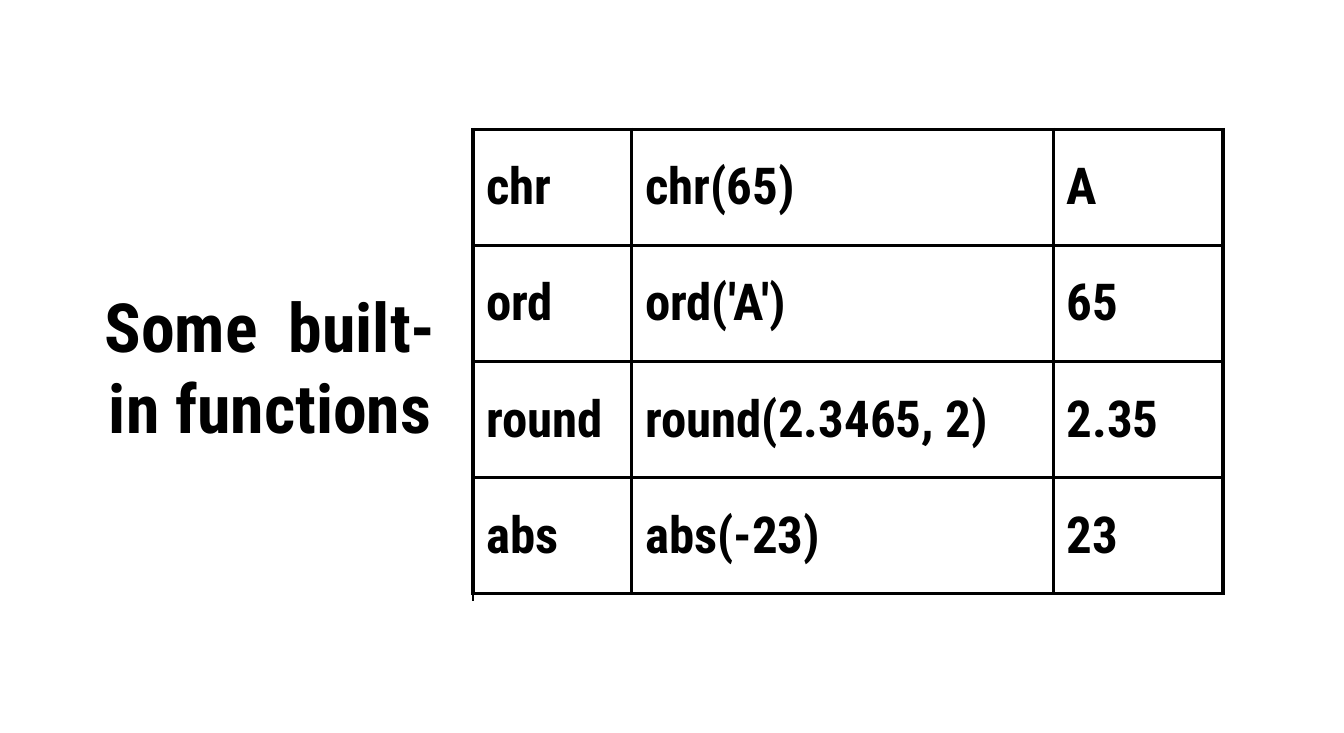
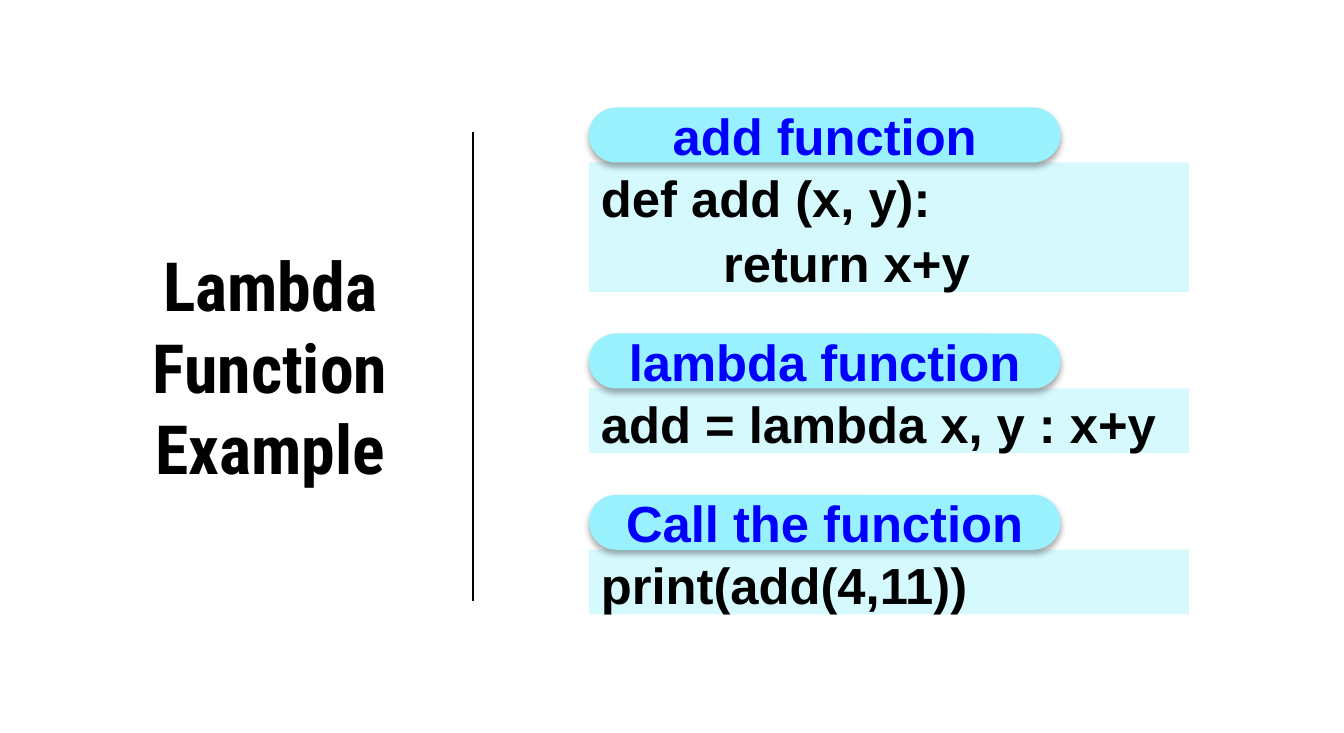
from lxml.etree import SubElement
from pptx import Presentation
from pptx.dml.color import RGBColor
from pptx.enum.shapes import MSO_CONNECTOR as Connector, MSO_SHAPE as Shape
from pptx.enum.text import MSO_ANCHOR as Anchor, MSO_AUTO_SIZE as AutoSize, PP_ALIGN as Align
from pptx.oxml import parse_xml
from pptx.oxml.ns import nsdecls, qn
from pptx.util import Pt

BUILT_INS = {
    "title": "Some  built-in functions",
    "rows": [
        ("chr", "chr(65)", "A"),
        ("ord", "ord('A')", "65"),
        ("round", "round(2.3465, 2)", "2.35"),
        ("abs", "abs(-23)", "23"),
    ],
}
LAMBDA = {
    "title": "Lambda Function\vExample",
    "examples": [
        ("add function", ["def add (x, y):", "\treturn x+y"]),
        ("lambda function", ["add = lambda x, y : x+y"]),
        ("Call the function", ["print(add(4,11))"]),
    ],
}

BLACK = RGBColor(0x00, 0x00, 0x00)
BLUE = RGBColor(0x00, 0x00, 0xFF)
CYAN = RGBColor(0x99, 0xF1, 0xFD)
PALE_CYAN = RGBColor(0xD6, 0xF9, 0xFE)
HEADING_FONT = "Roboto Condensed"
CODE_FONT = "Arial"

PX = 9144
SLIDE_SIZE = (1100, 600)
TITLE_BOX = (55, 69, 332, 461)
DIVIDER = (387, 108, 387, 492)
TABLE_LEFT, TABLE_TOP = 387, 106
COLUMN_WIDTHS = (130, 345, 139)
ROW_HEIGHT = 95
EXAMPLE_LEFT, EXAMPLE_TOP = 482, 88
LABEL_WIDTH, LABEL_HEIGHT = 386, 45
CODE_WIDTH, CODE_LINE_HEIGHT = 491, 53
EXAMPLE_GAP = 34
TAB_STOP = 100


def px(*lengths):
    return [length * PX for length in lengths]


def write(frame, lines, *, size, font, color=BLACK, align=Align.LEFT, spacing=None, inset=None):
    frame.word_wrap = True
    frame.auto_size = AutoSize.NONE
    frame.vertical_anchor = Anchor.MIDDLE
    if inset is not None:
        frame.margin_left = frame.margin_right = frame.margin_top = frame.margin_bottom = inset * PX
    for index, line in enumerate(lines):
        paragraph = frame.paragraphs[0] if index == 0 else frame.add_paragraph()
        paragraph.text = line
        paragraph.alignment = align
        if spacing:
            paragraph.line_spacing = spacing
        if "\t" in line:
            tabs = SubElement(paragraph._p.get_or_add_pPr(), qn("a:tabLst"))
            SubElement(tabs, qn("a:tab"), pos=str(TAB_STOP * PX), algn="l")
        for run in paragraph.runs:
            run.font.name = font
            run.font.size = Pt(size)
            run.font.bold = True
            run.font.color.rgb = color


def add_titled_slide(deck, title):
    slide = deck.slides.add_slide(deck.slide_layouts[5])
    heading = slide.shapes.title
    heading.left, heading.top, heading.width, heading.height = px(*TITLE_BOX)
    write(heading.text_frame, [title], size=40, font=HEADING_FONT, align=Align.CENTER, inset=10)
    divider = slide.shapes.add_connector(Connector.STRAIGHT, *px(*DIVIDER))
    divider.line.color.rgb = BLACK
    divider.line.width = Pt(1.5)
    SubElement(divider._element.spPr, qn("a:effectLst"))
    return slide


def add_borders(cell):
    properties = cell._tc.get_or_add_tcPr()
    for side in ("lnL", "lnR", "lnT", "lnB"):
        properties.append(parse_xml(
            f'<a:{side} {nsdecls("a")} w="{Pt(2.25)}"><a:solidFill>'
            f'<a:srgbClr val="{BLACK}"/></a:solidFill></a:{side}>'))


def add_function_table(slide, rows):
    size = (sum(COLUMN_WIDTHS), ROW_HEIGHT * len(rows))
    table = slide.shapes.add_table(
        len(rows), len(COLUMN_WIDTHS), *px(TABLE_LEFT, TABLE_TOP, *size)).table
    table.first_row = table.horz_banding = False
    for column, width in zip(table.columns, COLUMN_WIDTHS):
        column.width = width * PX
    for row, texts in enumerate(rows):
        for column, text in enumerate(texts):
            cell = table.cell(row, column)
            cell.margin_left = cell.margin_right = 11 * PX
            cell.vertical_anchor = Anchor.MIDDLE
            add_borders(cell)
            cell.fill.background()
            write_cell(cell, text)


def write_cell(cell, text):
    paragraph = cell.text_frame.paragraphs[0]
    paragraph.text = text
    font = paragraph.runs[0].font
    font.name, font.size, font.bold = HEADING_FONT, Pt(30), True
    font.color.rgb = BLACK


def add_panel(group, shape_type, box, fill):
    panel = group.shapes.add_shape(shape_type, *px(*box))
    panel.shadow.inherit = False
    panel.fill.solid()
    panel.fill.fore_color.rgb = fill
    panel.line.fill.background()
    return panel


def add_soft_shadow(panel):
    effects = panel._element.spPr.find(qn("a:effectLst"))
    effects.append(parse_xml(
        f'<a:outerShdw {nsdecls("a")} blurRad="{Pt(3.5)}" dist="{Pt(2.2)}" dir="5400000" '
        f'rotWithShape="0"><a:srgbClr val="{BLACK}"><a:alpha val="32000"/></a:srgbClr>'
        '</a:outerShdw>'))


def add_examples(slide, examples):
    top = EXAMPLE_TOP
    for caption, lines in examples:
        group = slide.shapes.add_group_shape()
        code_top = top + LABEL_HEIGHT
        code_height = CODE_LINE_HEIGHT * len(lines)
        code = add_panel(group, Shape.RECTANGLE,
                         (EXAMPLE_LEFT, code_top, CODE_WIDTH, code_height), PALE_CYAN)
        write(code.text_frame, lines, size=29.9, font=CODE_FONT, spacing=1.07)
        label = add_panel(group, Shape.ROUNDED_RECTANGLE,
                          (EXAMPLE_LEFT, top, LABEL_WIDTH, LABEL_HEIGHT), CYAN)
        label.adjustments[0] = 0.5
        add_soft_shadow(label)
        write(label.text_frame, [caption], size=29.9, font=CODE_FONT, color=BLUE,
              align=Align.CENTER)
        top = code_top + code_height + EXAMPLE_GAP


def main():
    deck = Presentation()
    deck.slide_width, deck.slide_height = px(*SLIDE_SIZE)
    add_function_table(add_titled_slide(deck, BUILT_INS["title"]), BUILT_INS["rows"])
    add_examples(add_titled_slide(deck, LAMBDA["title"]), LAMBDA["examples"])
    deck.save("out.pptx")


if __name__ == "__main__":
    main()
